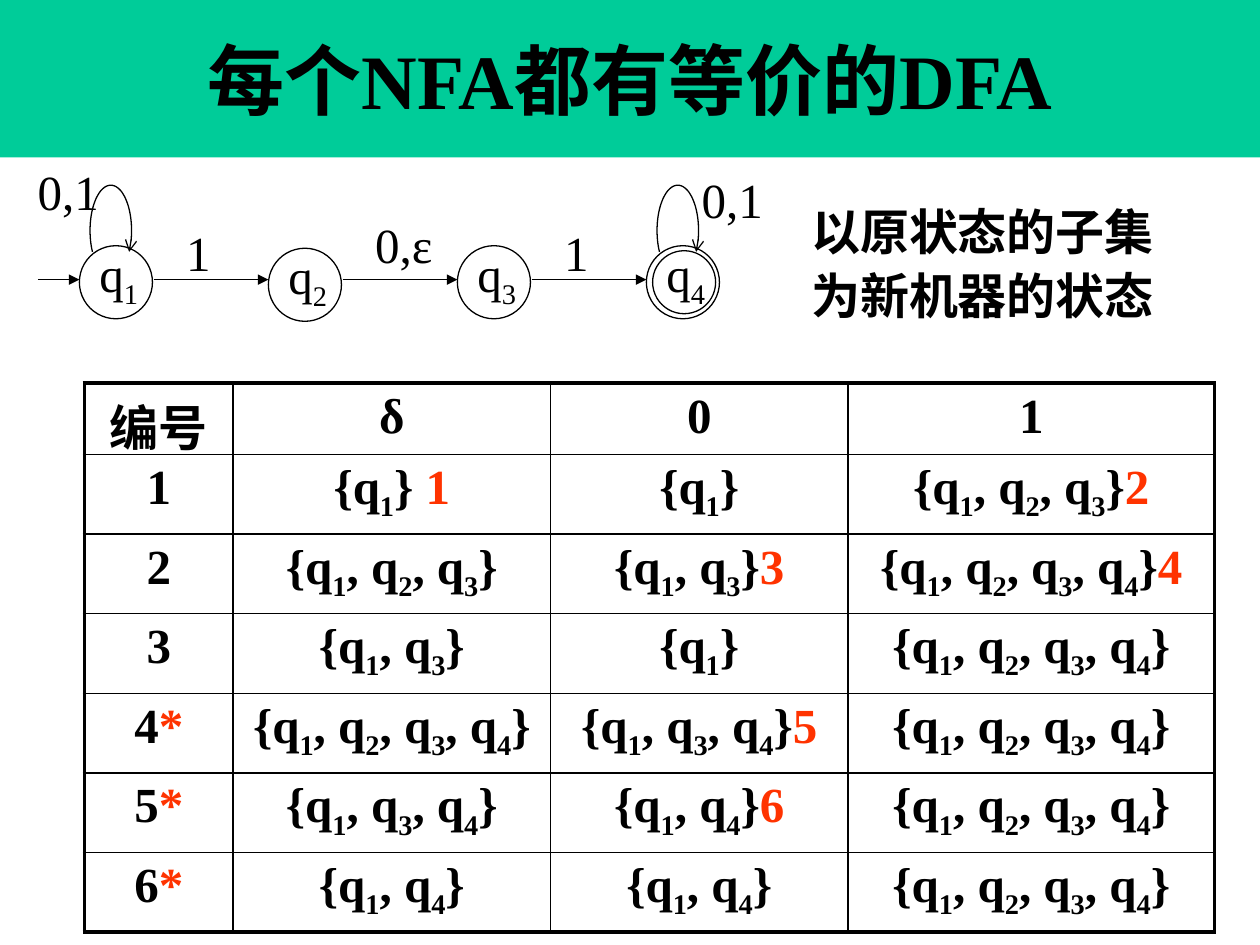
import math
from dataclasses import dataclass
from lxml import etree
from pptx import Presentation, util as u
from pptx.dml.color import RGBColor
from pptx.enum import shapes, text
from pptx.oxml import ns


@dataclass(frozen=True)
class Theme:
    font: str = "Times New Roman"
    ink: str = "000000"
    band: str = "00CC99"
    mark: str = "FF3300"
    head: int = 44
    body: int = 28
    thin: float = 0.75
    rule: float = 1
    edge: float = 2.25


def rgb(code):
    return RGBColor.from_string(code)


def sub(node, tag, **attrs):
    return etree.SubElement(node, ns.qn(tag), **attrs)


def write(para, line, look, size=None, bold=False, align=None, gaps=()):
    """Fill a paragraph: "_" lowers the next character, "~" starts the marked part."""
    def run(part, tone=look.ink, low=False):
        if not part:
            return
        item = para.add_run()
        item.text = part
        font = item.font
        font.name, font.size, font.bold = look.font, u.Pt(size or look.body), bold
        font.color.rgb = rgb(tone)
        if low:
            item._r.get_or_add_rPr().set("baseline", "-25000")

    if align is not None:
        para.alignment = align
    for gap in gaps:
        sub(sub(para._p.get_or_add_pPr(), gap), "a:spcPct", val="10000")
    plain, _, mark = line.partition("~")
    first, *rest = plain.split("_")
    run(first)
    for part in rest:
        run(part[0], low=True)
        run(part[1:])
    run(mark, look.mark)


class Page:
    """One slide on a grid of 100 columns by 75 rows."""

    def __init__(self, deck, look):
        self.look = look
        self.slide = deck.slides.add_slide(deck.slide_layouts[5])
        self.unit = deck.slide_width / 100

    def at(self, *cells):
        return [u.Emu(round(cell * self.unit)) for cell in cells]

    def stroke(self, item, head=None):
        item.line.color.rgb = rgb(self.look.ink)
        item.line.width = u.Pt(self.look.thin)
        if head:
            sub(item.line._get_or_add_ln(), "a:tailEnd", type=head)

    def title(self, line, *box):
        item = self.slide.shapes.title
        item.left, item.top, item.width, item.height = self.at(*box)
        item.fill.solid()
        item.fill.fore_color.rgb = rgb(self.look.band)
        frame = item.text_frame
        frame.auto_size = text.MSO_AUTO_SIZE.NONE
        frame.vertical_anchor = text.MSO_ANCHOR.MIDDLE
        write(frame.paragraphs[0], line, self.look, size=self.look.head,
              bold=True, align=text.PP_ALIGN.CENTER)

    def label(self, lines, *box, **form):
        frame = self.slide.shapes.add_textbox(*self.at(*box)).text_frame
        frame.word_wrap = False
        frame.auto_size = text.MSO_AUTO_SIZE.SHAPE_TO_FIT_TEXT
        for i, line in enumerate(lines):
            para = frame.add_paragraph() if i else frame.paragraphs[0]
            write(para, line, self.look, **form)

    def ring(self, x, y, size):
        item = self.slide.shapes.add_shape(
            shapes.MSO_SHAPE.OVAL, *self.at(x, y, size, size))
        item.shadow.inherit = False
        item.fill.background()
        self.stroke(item)

    def arrow(self, x1, x2, y):
        item = self.slide.shapes.add_connector(
            shapes.MSO_CONNECTOR.STRAIGHT, *self.at(x1, y, x2, y))
        self.stroke(item, "triangle")
        sub(item._element.spPr, "a:effectLst")

    def loop(self, x, y, wide, tall):
        """Open oval around (x, y), from lower left over the top to lower right."""
        turns = [math.radians(a) for a in range(152, 389, 4)]
        dots = [self.at(x + wide * math.cos(a), y + tall * math.sin(a))
                for a in turns]
        pen = self.slide.shapes.build_freeform(*dots[0])
        pen.add_line_segments(dots[1:], close=False)
        item = pen.convert_to_shape()
        item.shadow.inherit = False
        item.fill.background()
        self.stroke(item, "arrow")

    def table(self, rows, cols, high, *box):
        grid = self.slide.shapes.add_table(
            len(rows), len(cols), *self.at(*box)).table
        grid.first_row = grid.horz_banding = False
        for col, wide in zip(grid.columns, self.at(*cols)):
            col.width = wide
        for r, row in enumerate(rows):
            grid.rows[r].height = self.at(high)[0]
            for c, line in enumerate(row):
                cell = grid.cell(r, c)
                write(cell.text_frame.paragraphs[0], line, self.look, bold=True,
                      align=text.PP_ALIGN.CENTER, gaps=("a:spcBef", "a:spcAft"))
                self.frame(cell, L=c == 0, R=c == len(cols) - 1,
                           T=r == 0, B=r == len(rows) - 1)

    def frame(self, cell, **sides):
        props = cell._tc.get_or_add_tcPr()
        for side, outer in sides.items():
            width = u.Pt(self.look.edge if outer else self.look.rule)
            line = sub(props, "a:ln" + side, w=str(width))
            sub(sub(line, "a:solidFill"), "a:srgbClr", val=self.look.ink)
        cell.fill.background()


def group(states, mark=""):
    """Set of numbered states, with an optional marked number after it."""
    return "{" + ", ".join("q_" + n for n in states) + "}" + (mark and "~" + mark)


def main():
    deck = Presentation()
    deck.slide_width, deck.slide_height = u.Inches(10), u.Inches(7.5)
    page = Page(deck, Theme())
    page.title("每个NFA都有等价的DFA", 0, 0, 100, 12.5)

    # States of the automaton
    start, step, size = 6.3, 15, 5.8
    for i in range(4):
        x, drop = start + i * step, 0.2 if i == 1 else 0
        page.ring(x, 19.5 + drop, size)
        page.label([f"q_{i + 1}"], x + 0.6, 18.8 + drop, 5.3, 5.7)
    page.ring(51.8, 19.9, 5)

    # Moves between states
    page.arrow(3, start, 22.2)
    for i in range(3):
        x = start + i * step
        page.arrow(x + size + 0.1, x + step, 22.2)
    for x in (8.8, 8.8 + 3 * step):
        page.loop(x, 18.3, 1.65, 3.6)
    for line, x, y, wide in (("0,1", 2, 12.3, 6.9), ("1", 13.8, 17.2, 4),
                             ("0,ε", 28.8, 16.5, 6.6), ("1", 43.8, 17.2, 4),
                             ("0,1", 54.7, 13, 6.9)):
        page.label([line], x, y, wide, 5.7)

    # Table of subsets
    full = group("1234")
    rows = [
        ("编号", "δ", "0", "1"),
        ("1", group("1", " 1"), group("1"), group("123", "2")),
        ("2", group("123"), group("13", "3"), group("1234", "4")),
        ("3", group("13"), group("1"), full),
        ("4~*", full, group("134", "5"), full),
        ("5~*", group("134"), group("14", "6"), full),
        ("6~*", group("14"), group("14"), full),
    ]
    page.table(rows, (11.8, 25.2, 23.6, 29.1), 3.9, 6.7, 30.4, 89.8, 39.7)

    # Remark
    page.label(["以原状态的子集", "为新机器的状态"], 63.4, 15.5, 30.6, 10.9,
               bold=True, gaps=("a:spcBef",))
    deck.save("out.pptx")


if __name__ == "__main__":
    main()
